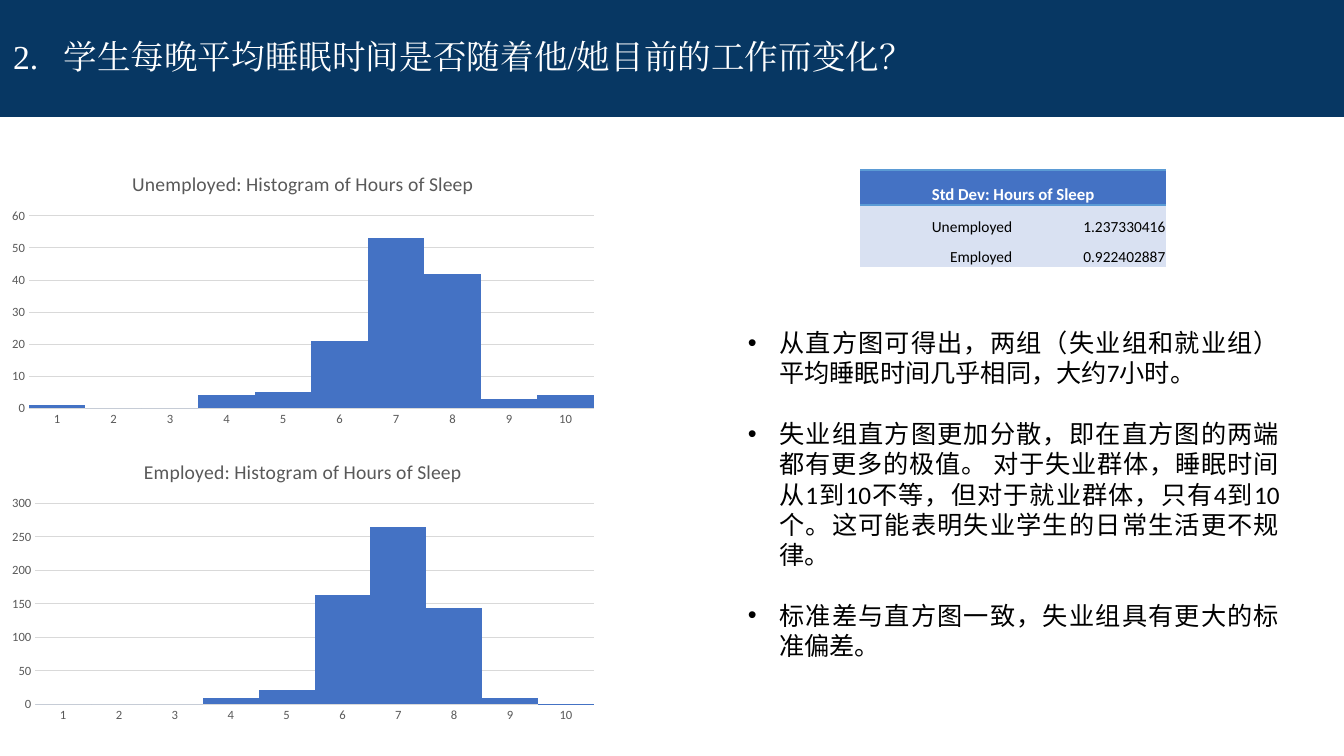
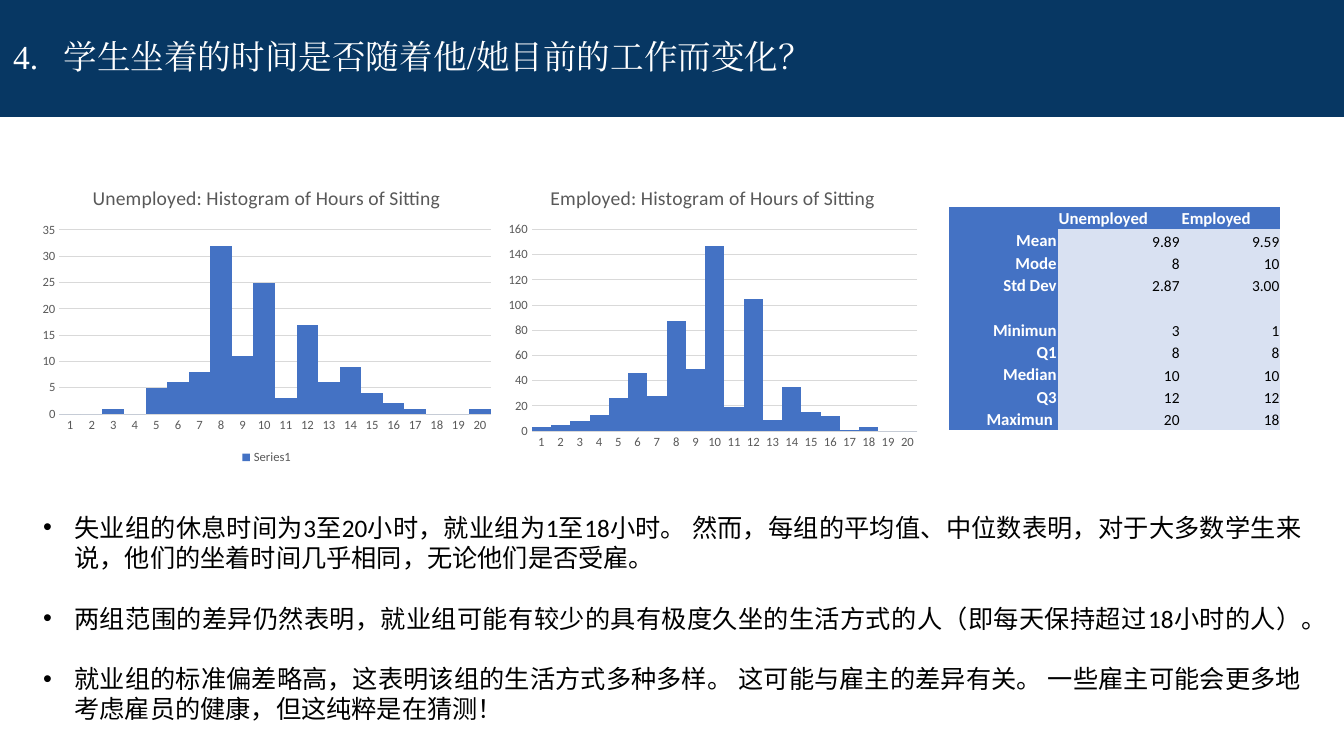
"""Two slides comparing sleep and sitting hours of unemployed and employed students."""
from pptx import Presentation
from pptx.chart.data import CategoryChartData as Data
from pptx.dml.color import RGBColor as Rgb
from pptx.enum.chart import XL_CHART_TYPE as Kind, XL_LEGEND_POSITION as Side, XL_TICK_MARK as Tick
from pptx.enum.shapes import MSO_SHAPE as Geo
from pptx.enum.text import MSO_ANCHOR as Anchor, PP_ALIGN as Align
from pptx.oxml import parse_xml
from pptx.oxml.ns import nsdecls, qn
from pptx.util import Inches, Pt

HUE = {"band": "073763", "bar": "4472C4", "cell": "D9E1F2", "rule": "5B9BD5",
       "grid": "D9D9D9", "label": "595959", "white": "FFFFFF", "black": "000000"}
BODY, HEAD, CJK = "Calibri", "Times New Roman", "Noto Sans CJK SC"
PLAIN = "{2D5ABB26-0587-4C30-8999-92F81FD0307C}"

SLEEP = {
    "num": 2,
    "title": "学生每晚平均睡眠时间是否随着他/她目前的工作而变化？",
    "notes": [
        "从直方图可得出，两组（失业组和就业组）平均睡眠时间几乎相同，大约7小时。",
        "失业组直方图更加分散，即在直方图的两端都有更多的极值。 对于失业群体，睡眠时间从1到10不等，"
        "但对于就业群体，只有4到10个。这可能表明失业学生的日常生活更不规律。",
        "标准差与直方图一致，失业组具有更大的标准偏差。",
    ],
    "box": (7.32, 3.2, 5.47, 3.43),
    "charts": [
        ("Unemployed: Histogram of Hours of Sleep", (0, 1.55, 6.01, 2.74),
         [1, 0, 0, 4, 5, 21, 53, 42, 3, 4], False),
        ("Employed: Histogram of Hours of Sleep", (0, 4.4, 6.01, 2.83),
         [0, 0, 0, 10, 22, 163, 265, 144, 9, 1], False),
    ],
    "at": (8.53, 1.69),
    "cols": [1.52, 1.52],
    "rows": [0.34, 0.32, 0.3],
    "cells": [("Std Dev: Hours of Sleep", ""),
              ("Unemployed", "1.237330416"),
              ("Employed", "0.922402887")],
    "span": True,
}
SITTING = {
    "num": 4,
    "title": "学生坐着的时间是否随着他/她目前的工作而变化？",
    "notes": [
        "失业组的休息时间为3至20小时，就业组为1至18小时。 然而，每组的平均值、中位数表明，"
        "对于大多数学生来说，他们的坐着时间几乎相同，无论他们是否受雇。",
        "两组范围的差异仍然表明，就业组可能有较少的具有极度久坐的生活方式的人（即每天保持超过18小时的人）。",
        "就业组的标准偏差略高，这表明该组的生活方式多种多样。 这可能与雇主的差异有关。 "
        "一些雇主可能会更多地考虑雇员的健康，但这纯粹是在猜测！",
    ],
    "box": (0.33, 5.03, 12.68, 2.22),
    "charts": [
        ("Unemployed: Histogram of Hours of Sitting", (0.33, 1.68, 4.63, 2.97),
         [0, 0, 1, 0, 5, 6, 8, 32, 11, 25, 3, 17, 6, 9, 4, 2, 1, 0, 0, 1], True),
        ("Employed: Histogram of Hours of Sitting", (4.96, 1.68, 4.22, 2.84),
         [3, 5, 8, 13, 26, 46, 28, 87, 49, 147, 19, 105, 9, 35, 15, 12, 1, 3, 0, 0], False),
    ],
    "at": (9.41, 2.05),
    "cols": [1.08, 1.22, 0.99],
    "rows": [2.22 / 10] * 10,
    "cells": [("", "Unemployed", "Employed"),
              ("Mean", "9.89", "9.59"), ("Mode", "8", "10"), ("Std Dev", "2.87", "3.00"),
              ("", "", ""),
              ("Minimun", "3", "1"), ("Q1", "8", "8"), ("Median", "10", "10"),
              ("Q3", "12", "12"), ("Maximun ", "20", "18")],
    "span": False,
}


def tint(fill, hue):
    fill.solid()
    fill.fore_color.rgb = Rgb.from_string(HUE[hue])


def style(font, size, hue, face=BODY, bold=False):
    font.size, font.name, font.bold = Pt(size), face, bold
    font.color.rgb = Rgb.from_string(HUE[hue])


def put(frame, lines, size=18, hue="black", face=BODY, bold=False, align=Align.LEFT,
        gap=0, lead=None, hang=0, mark=None):
    for i, line in enumerate(lines):
        para = frame.add_paragraph() if i else frame.paragraphs[0]
        para.alignment, para.space_after, para.line_spacing = align, Pt(gap), lead
        if mark:
            props = para._p.get_or_add_pPr()
            props.set("marL", str(Inches(hang)))
            props.set("indent", str(-Inches(hang)))
            for xml in mark:
                props.append(parse_xml(xml % nsdecls("a")))
        if not line:
            para._p.append(parse_xml(f'<a:endParaRPr {nsdecls("a")} sz="{size * 100}"/>'))
            continue
        run = para.add_run()
        run.text = line
        style(run.font, size, hue, face, bold)
        run._r.get_or_add_rPr().append(parse_xml(f'<a:ea {nsdecls("a")} typeface="{face}"/>'))


def pad(item, *sides):
    item.margin_left, item.margin_top, item.margin_right, item.margin_bottom = map(Inches, sides)


def band(slide, num, title):
    shape = slide.shapes.add_shape(Geo.RECTANGLE, 0, 0, Inches(13.33), Inches(1.16))
    shape.shadow.inherit = False
    tint(shape.fill, "band")
    shape.line.fill.background()
    frame = shape.text_frame
    frame.word_wrap, frame.vertical_anchor = True, Anchor.MIDDLE
    pad(frame, 0.13, 0.13, 0.13, 0.13)
    mark = [f'<a:buFont %s typeface="{CJK}"/>',
            f'<a:buAutoNum %s type="arabicPeriod" startAt="{num}"/>']
    put(frame, [title], size=24, hue="white", face=HEAD, lead=0.9, hang=0.5, mark=mark)


def notes(slide, box, lines):
    frame = slide.shapes.add_textbox(*map(Inches, box)).text_frame
    frame.word_wrap = True
    mark = ['<a:buFont %s typeface="Arial"/>', '<a:buChar %s char="•"/>']
    put(frame, lines, align=Align.JUSTIFY, gap=21.7, hang=0.31, mark=mark)


def chart(slide, title, box, vals, legend):
    data = Data()
    data.categories = [str(n + 1) for n in range(len(vals))]
    data.add_series("Series1" if legend else "Series 1", vals)
    plot = slide.shapes.add_chart(Kind.COLUMN_CLUSTERED, *map(Inches, box), data).chart
    style(plot.font, 10, "black")
    plot.has_title = True
    put(plot.chart_title.text_frame, [title], size=14, hue="label")
    plot.chart_title.include_in_layout = False
    plot.has_legend = legend
    if legend:
        plot.legend.position, plot.legend.include_in_layout = Side.BOTTOM, False
        style(plot.legend.font, 9, "label")
    bars = plot.plots[0]
    bars.gap_width, bars.vary_by_categories = 0, False
    tint(bars.series[0].format.fill, "bar")
    cat, val = plot.category_axis, plot.value_axis
    for axis in (cat, val):
        axis.major_tick_mark = axis.minor_tick_mark = Tick.NONE
        style(axis.tick_labels.font, 9, "label")
    val.format.line.fill.background()
    for line in (cat.format.line, val.major_gridlines.format.line):
        line.width = Pt(0.75)
        tint(line.fill, "grid")


def edge(cell, *sides):
    props = cell._tc.get_or_add_tcPr()
    for i, side in enumerate(sides):
        props.insert(i, parse_xml(
            f'<a:{side} {nsdecls("a")} w="{Pt(1.5)}"><a:solidFill>'
            f'<a:srgbClr val="{HUE["rule"]}"/></a:solidFill></a:{side}>'))


def table(slide, at, cols, rows, cells, span):
    sizes = map(Inches, (*at, sum(cols), sum(rows)))
    shape = slide.shapes.add_table(len(rows), len(cols), *sizes)
    shape.element.find(".//" + qn("a:tableStyleId")).text = PLAIN
    grid = shape.table
    for col, width in zip(grid.columns, cols):
        col.width = Inches(width)
    for row, height in zip(grid.rows, rows):
        row.height = Inches(height)
    for r, texts in enumerate(cells):
        for c, text in enumerate(texts):
            cell = grid.cell(r, c)
            head = r == 0 or (c == 0 and not span)
            align = Align.RIGHT if r else Align.CENTER if span else Align.LEFT
            cell.vertical_anchor = Anchor.BOTTOM
            pad(cell, 0.01, 0.01, 0.01, 0)
            tint(cell.fill, "bar" if head else "cell")
            put(cell.text_frame, [text], size=12 if head else 11,
                hue="white" if head else "black", bold=head, align=align)
            if span and r == 0:
                edge(cell, "lnT", "lnB")
    if span:
        grid.cell(0, 0).merge(grid.cell(0, len(cols) - 1))


deck = Presentation()
deck.slide_width, deck.slide_height = Inches(13.33), Inches(7.5)
for page in (SLEEP, SITTING):
    slide = deck.slides.add_slide(deck.slide_layouts[6])
    band(slide, page["num"], page["title"])
    notes(slide, page["box"], page["notes"])
    for item in page["charts"]:
        chart(slide, *item)
    table(slide, *(page[key] for key in ("at", "cols", "rows", "cells", "span")))
deck.save("out.pptx")
